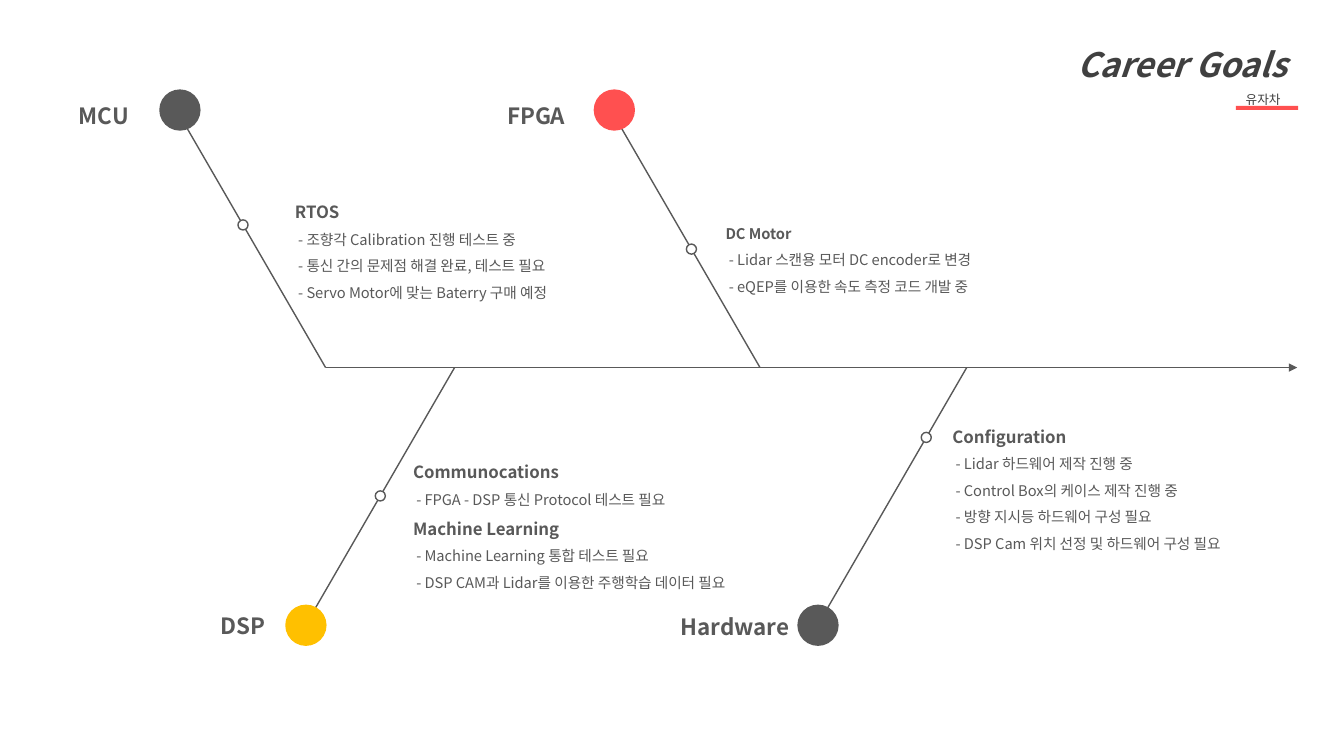
from lxml import etree
from pptx import Presentation
from pptx.dml.color import RGBColor
from pptx.enum.shapes import MSO_CONNECTOR, MSO_SHAPE
from pptx.enum.text import PP_ALIGN
from pptx.oxml.ns import qn
from pptx.util import Pt

STRAIGHT = MSO_CONNECTOR.STRAIGHT
OVAL, RECTANGLE = MSO_SHAPE.OVAL, MSO_SHAPE.RECTANGLE
LEFT, CENTER, RIGHT = PP_ALIGN.LEFT, PP_ALIGN.CENTER, PP_ALIGN.RIGHT

FONT = "Noto Sans CJK KR"
GRAY, DARK, RED, YELLOW, WHITE = "595959", "404040", "FF5050", "FFC000", "FFFFFF"
SPINE_Y, SPINE_LEFT, SPINE_RIGHT = 262.6, 232.6, 926.6
BONE_WIDTH, BONE_HEIGHT = 106.5, 184
NODE_SIZE, MARKER_SIZE = 29.5, 7.2
LABEL_WIDTH, LABEL_HEIGHT = 114, 32.4
BODY_SIZE = 10.5

BONES = [
    dict(joint=232.6, above=True, color=GRAY, node_shift=2.4, marker=0.446,
         label="MCU", label_offset=(-51.8, -18.7),
         notes_offset=(77.5, 54.7), heading_size=12, notes=[
             "RTOS",
             " - 조향각 Calibration 진행 테스트 중",
             " - 통신 간의 문제점 해결 완료, 테스트 필요",
             " - Servo Motor에 맞는 Baterry 구매 예정"]),
    dict(joint=542.9, above=True, color=RED, node_shift=2.4, marker=0.54,
         label="FPGA", label_offset=(-53.4, -18.7),
         notes_offset=(74.8, 72), heading_size=10.5, notes=[
             "DC Motor",
             " - Lidar 스캔용 모터 DC encoder로 변경",
             " - eQEP를 이용한 속도 측정 코드 개발 중"]),
    dict(joint=324.7, above=False, color=YELLOW, node_shift=0.3, marker=0.502,
         label="DSP", label_offset=(-44.7, -22.5),
         notes_offset=(69.8, 56.4), heading_size=12, notes=[
             "Communocations",
             " - FPGA - DSP 통신 Protocol 테스트 필요",
             "Machine Learning",
             " - Machine Learning 통합 테스트 필요",
             " - DSP CAM과 Lidar를 이용한 주행학습 데이터 필요"]),
    dict(joint=690.5, above=False, color=GRAY, node_shift=0.3, marker=0.729,
         label="Hardware", label_offset=(-59, -21.8),
         notes_offset=(89.2, 31.2), heading_size=12, notes=[
             "Configuration",
             " - Lidar 하드웨어 제작 진행 중",
             " - Control Box의 케이스 제작 진행 중",
             " - 방향 지시등 하드웨어 구성 필요",
             " - DSP Cam 위치 선정 및 하드웨어 구성 필요"]),
]


def rgb(value):
    return RGBColor.from_string(value)


def add_text(frame, text, size=BODY_SIZE, color=GRAY, bold=False, italic=False,
             align=LEFT, first=True):
    paragraph = frame.paragraphs[0] if first else frame.add_paragraph()
    paragraph.alignment = align
    paragraph.line_spacing = 1.5
    run = paragraph.add_run()
    run.text = text
    font = run.font
    font.name, font.size, font.bold, font.italic = FONT, Pt(size), bold, italic
    font.color.rgb = rgb(color)
    east_asian = etree.SubElement(run._r.get_or_add_rPr(), qn("a:ea"))
    east_asian.set("typeface", FONT)


def add_frame(slide, left, top, width, height):
    frame = slide.shapes.add_textbox(Pt(left), Pt(top), Pt(width), Pt(height)).text_frame
    frame.word_wrap = True
    return frame


def add_plain(slide, preset, left, top, width, height, fill, outline=None):
    plain = slide.shapes.add_shape(preset, Pt(left), Pt(top), Pt(width), Pt(height))
    plain.shadow.inherit = False
    plain.fill.solid()
    plain.fill.fore_color.rgb = rgb(fill)
    if outline:
        plain.line.color.rgb = rgb(outline)
        plain.line.width = Pt(1)
    else:
        plain.line.fill.background()


def add_circle(slide, x, y, size, fill, outline=None):
    add_plain(slide, OVAL, x - size / 2, y - size / 2, size, size, fill, outline)


def add_line(slide, x1, y1, x2, y2, arrow=False):
    line = slide.shapes.add_connector(STRAIGHT, Pt(x1), Pt(y1), Pt(x2), Pt(y2))
    line.line.color.rgb = rgb(GRAY)
    line.line.width = Pt(1)
    if arrow:
        etree.SubElement(line.line._get_or_add_ln(), qn("a:tailEnd")).set("type", "triangle")
    etree.SubElement(line._element.spPr, qn("a:effectLst"))


def add_bone(slide, left, top, width, height, bone):
    node_y, joint_y = (top, top + height) if bone["above"] else (top + height, top)
    add_line(slide, left, node_y, left + width, joint_y)
    add_circle(slide, left + bone["node_shift"], node_y, NODE_SIZE, bone["color"])
    along = bone["marker"]
    add_circle(slide, left + width * along, node_y + (joint_y - node_y) * along,
               MARKER_SIZE, WHITE, GRAY)

    label_x, label_y = bone["label_offset"]
    label = add_frame(slide, left + label_x - LABEL_WIDTH / 2, node_y + label_y,
                      LABEL_WIDTH, LABEL_HEIGHT)
    add_text(label, bone["label"], size=16, bold=True, align=CENTER)

    notes_x, notes_y = bone["notes_offset"]
    notes = add_frame(slide, left + notes_x, top + notes_y, 277,
                      10 + 19 * len(bone["notes"]))
    for index, note in enumerate(bone["notes"]):
        heading = not note.startswith(" - ")
        add_text(notes, note, size=bone["heading_size"] if heading else BODY_SIZE,
                 bold=heading, first=index == 0)


def add_title(slide, left, top, width, height):
    title = add_frame(slide, left, top, width, height)
    add_text(title, "Career Goals ", size=24, color=DARK, bold=True, italic=True, align=RIGHT)
    author = add_frame(slide, left, top + 43.1, width - 10, 23)
    add_text(author, "유자차", size=9, color=DARK, align=RIGHT)
    add_plain(slide, RECTANGLE, left + width - 49, top + 62, 44.6, 2.9, RED)


def main():
    deck = Presentation()
    deck.slide_width, deck.slide_height = Pt(960), Pt(540)
    slide = deck.slides.add_slide(deck.slide_layouts[6])
    add_line(slide, SPINE_LEFT, SPINE_Y, SPINE_RIGHT, SPINE_Y, arrow=True)
    for bone in BONES:
        top = SPINE_Y - BONE_HEIGHT if bone["above"] else SPINE_Y
        add_bone(slide, bone["joint"] - BONE_WIDTH, top, BONE_WIDTH, BONE_HEIGHT, bone)
    add_title(slide, 600.5, 13.7, 331.2, 50)
    deck.save("out.pptx")


if __name__ == "__main__":
    main()
